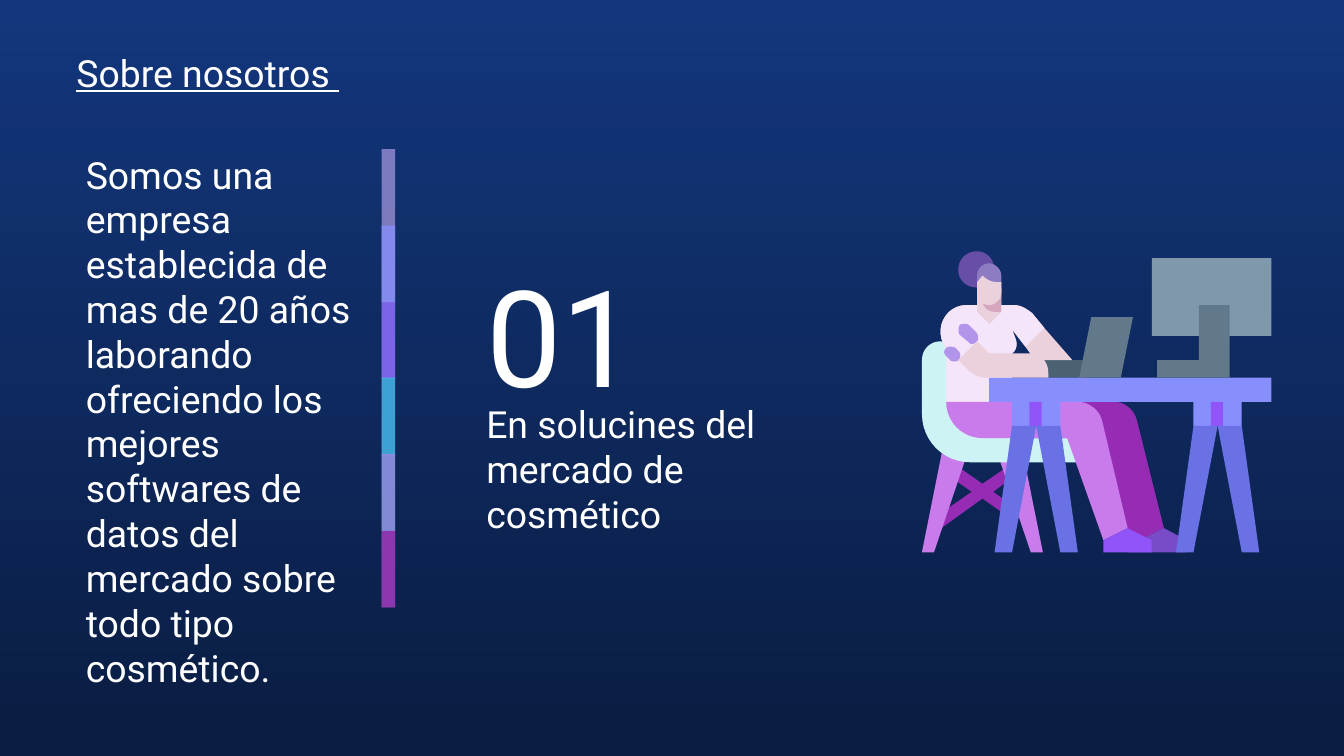
"""Builds the "Sobre nosotros" slide: company text, colour strip and a woman working at a desk."""
from lxml import etree
from pptx import Presentation
from pptx import util as u
from pptx.dml.color import RGBColor
from pptx.enum import shapes, text
from pptx.oxml.ns import qn

PX = 9144


def paint(shape, colour, opacity=100):
    """Fill a shape with a hex colour, without line or shadow."""
    shape.shadow.inherit = False
    shape.line.fill.background()
    shape.fill.solid()
    shape.fill.fore_color.rgb = RGBColor.from_string(colour)
    if opacity < 100:
        tint = shape._element.spPr.find(qn("a:solidFill"))[0]
        etree.SubElement(tint, qn("a:alpha"), val=str(opacity * 1000))


def outline(parent, steps, segments=12):
    """Draw a closed outline; a pair is a straight step, six numbers a Bézier curve."""
    points = [steps[0]]
    for step in steps[1:]:
        if len(step) == 2:
            points.append(step)
            continue
        start, bend_a, bend_b, end = points[-1], step[:2], step[2:4], step[4:]
        for i in range(1, segments + 1):
            t = i / segments
            points.append(tuple(
                (1 - t) ** 3 * a + 3 * t * (1 - t) ** 2 * b + 3 * t * t * (1 - t) * c + t ** 3 * d
                for a, b, c, d in zip(start, bend_a, bend_b, end)))
    points = [(round(x * PX), round(y * PX)) for x, y in points]
    builder = parent.build_freeform(*points[0], scale=1)
    builder.add_line_segments(points[1:], close=True)
    return builder.convert_to_shape()


deck = Presentation()
deck.slide_width = 1000 * PX
deck.slide_height = deck.slide_width * 9 // 16
slide = deck.slides.add_slide(deck.slide_layouts[6])

backdrop = slide.background.fill
backdrop.gradient()
backdrop.gradient_angle = 270
for stop, colour in zip(backdrop.gradient_stops, ("13367C", "0A1D42")):
    stop.color.rgb = RGBColor.from_string(colour)

strip = slide.shapes.add_group_shape().shapes
bands = [("C8AEF8", 59), ("878FFF", 74), ("9154F8", 53), ("35C2DF", 76), ("CA7BEB", 56), ("972CB4", 74)]
for i, (colour, opacity) in enumerate(bands):
    height = 57 if i == len(bands) - 1 else 114
    band_top = 111 + round(56.8 * i)
    band = strip.add_shape(shapes.MSO_SHAPE.RECTANGLE, 284 * PX, band_top * PX, 10 * PX, height * PX)
    paint(band, colour, opacity)

back_and_sleeve = [(719, 227), (703, 227, 694, 246, 704, 259), (704, 299), (753, 299), (753, 263),
                   (756, 261, 757, 257, 756, 253), (753, 245), (763, 258)]
shoulder = [(777, 244), (768, 233), (764, 230, 760, 227, 754, 227)]

trestles = []
for centre in (906, 771):
    trestles += [("878FFF", (centre - 18, 299, 36, 18)), ("9154F8", (centre - 5, 299, 9, 18))]
    for side in (-1, 1):
        trestles.append(("6971E5", [(centre + side * dx, y) for dx, y in ((18, 317), (31, 411), (18, 411), (0, 317))]))

chair = [
    ("972CB4", [(711, 346), (706, 354), (723, 366), (694, 386), (699, 394), (731, 371), (748, 383),
                (753, 376), (739, 366), (755, 354), (750, 347), (731, 360)]),
    ("CA7BEB", [(740, 331), (767, 411), (776, 411), (760, 331)]),
    ("CA7BEB", [(702, 331), (686, 411), (695, 411), (722, 331)]),
    ("CEF3F5", [(700, 254), (692, 254, 686, 260, 686, 268), (686, 308), (686, 328, 702, 344, 722, 344),
                (807, 344), (807, 322), (731, 322), (719, 322, 709, 312, 709, 299), (709, 254)]),
]
far_leg = [
    ("972CB4", [(731, 299), (731, 314, 743, 326, 758, 326), (821, 326), (839, 402), (848, 402), (866, 393),
                (846, 313), (844, 305, 837, 299, 829, 299)]),
    ("794BC8", [(866, 393), (848, 402), (839, 402), (839, 411), (883, 411), (883, 402)]),
]
body = [
    ("EAD1DC", back_and_sleeve + [(770, 268), (798, 268)] + shoulder),
    ("F4E5FB", back_and_sleeve + shoulder),
    ("878FFF", (736, 281, 210, 18)),
    ("B394EB", [(707, 258), (706, 258, 705, 258, 704, 259), (702, 261, 702, 263, 704, 265), (707, 268),
                (708, 269, 709, 269, 710, 269), (711, 269, 712, 269, 713, 268), (715, 266, 715, 263, 713, 261),
                (711, 259), (710, 258, 708, 258, 707, 258)]),
    ("B394EB", [(718, 241), (717, 241, 715, 241, 714, 242), (713, 244, 713, 247, 714, 249), (720, 254),
                (721, 255, 722, 256, 723, 256), (725, 256, 726, 255, 727, 254), (728, 253, 728, 250, 727, 248),
                (721, 242), (720, 241, 719, 241, 718, 241)]),
    ("EAD1DC", [(727, 214), (727, 232), (736, 241), (745, 232), (745, 214)]),
    ("EAD1DC", [(727, 254), (713, 268), (721, 276), (725, 279, 729, 281, 734, 281), (780, 281), (780, 277),
                (780, 269, 774, 263, 767, 263), (736, 263)]),
]
laptop_lid = [("62798C", [(812, 236), (803, 281), (834, 281), (843, 236)])]
near_leg = [
    ("CA7BEB", [(704, 299), (704, 314, 716, 326, 731, 326), (794, 326), (821, 402), (839, 393), (820, 313),
                (818, 305, 810, 299, 802, 299)]),
    ("9154F8", [(839, 393), (821, 402), (821, 411), (857, 411), (857, 402)]),
]
monitor = [
    ("8098AB", (857, 192, 89, 58)),
    ("62798C", [(892, 227), (892, 268), (861, 268), (861, 281), (915, 281), (915, 227)]),
]
head = [
    ("D5A6BD", [(731, 214), (731, 223), (731, 228, 735, 232, 740, 232), (745, 232), (745, 214)]),
    ("674EA7", [(727, 187), (719, 187, 713, 193, 713, 201), (713, 208, 719, 214, 727, 214),
                (734, 214, 740, 208, 740, 201), (740, 193, 734, 187, 727, 187)]),
    ("8E7CC3", [(736, 196), (731, 196, 727, 200, 727, 205), (727, 214), (745, 214), (745, 205),
                (745, 200, 740, 196, 736, 196)]),
    ("EAD1DC", [(731, 205), (727, 210), (727, 218), (727, 223, 731, 227, 736, 227),
                (740, 227, 745, 223, 745, 218), (745, 210), (742, 210), (738, 210, 734, 208, 731, 205)]),
]
laptop_base = [("4B6275", (776, 268, 31, 13))]

scene = slide.shapes.add_group_shape().shapes
for colour, form in laptop_base + chair + far_leg + body + laptop_lid + near_leg + monitor + trestles + head:
    if isinstance(form, tuple):
        part = scene.add_shape(shapes.MSO_SHAPE.RECTANGLE, *(n * PX for n in form))
    else:
        part = outline(scene, form)
    paint(part, colour)

top, middle = text.MSO_ANCHOR.TOP, text.MSO_ANCHOR.MIDDLE
story = ("Somos una empresa establecida de mas de 20 años laborando ofreciendo los mejores "
         "softwares de datos del mercado sobre todo tipo cosmético.")
for words, place, size, anchor, inset, underlined in [
    ("01", (352, 181, 175, 135), 72, middle, 10, False),
    ("En solucines del mercado de cosmético", (352, 315, 287, 67), 20, middle, 10, False),
    ("Sobre nosotros ", (47, 27, 283, 81), 20, top, 10, True),
    (story, (54, 108, 240, 380), 20, top, 5, False),
]:
    frame = slide.shapes.add_textbox(*(n * PX for n in place)).text_frame
    frame.word_wrap = True
    frame.vertical_anchor = anchor
    frame.margin_left = frame.margin_right = 10 * PX
    frame.margin_top = frame.margin_bottom = inset * PX
    paragraph = frame.paragraphs[0]
    paragraph.text = words
    paragraph.font.name = "Roboto"
    paragraph.font.size = u.Pt(size)
    paragraph.font.color.rgb = RGBColor.from_string("FFFFFF")
    if underlined:
        paragraph.font.underline = True

deck.save("out.pptx")
